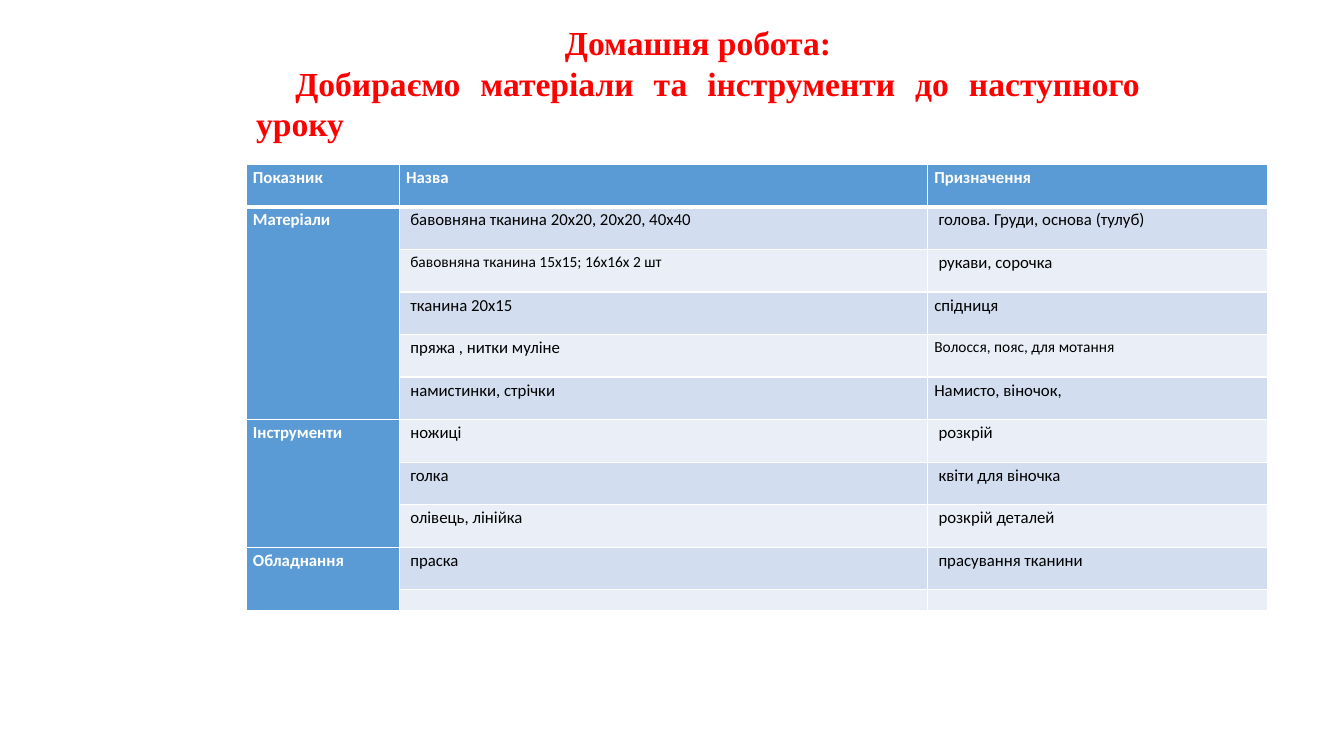
from lxml import etree
from pptx import Presentation
from pptx.dml.color import RGBColor
from pptx.enum.text import MSO_ANCHOR, MSO_AUTO_SIZE, PP_ALIGN
from pptx.oxml.ns import qn
from pptx.util import Pt

RED = RGBColor(0xFF, 0x00, 0x00)
WHITE = RGBColor(0xFF, 0xFF, 0xFF)
BLACK = RGBColor(0x00, 0x00, 0x00)
BLUE = RGBColor(0x5B, 0x9B, 0xD5)
BAND_DARK = RGBColor(0xD2, 0xDE, 0xEF)
BAND_LIGHT = RGBColor(0xEA, 0xEF, 0xF7)
CENTER, JUSTIFY = PP_ALIGN.CENTER, PP_ALIGN.JUSTIFY
TOP = MSO_ANCHOR.TOP
GROW = MSO_AUTO_SIZE.SHAPE_TO_FIT_TEXT

HEADER = ["Показник", "Назва", "Призначення"]
GROUPS = [
    ("Матеріали", [
        ("бавовняна тканина 20х20, 20х20, 40х40", "голова. Груди, основа (тулуб)"),
        ("бавовняна тканина 15х15; 16х16х 2 шт", "рукави, сорочка"),
        ("тканина 20х15", "спідниця"),
        ("пряжа , нитки муліне", "Волосся, пояс, для мотання"),
        ("намистинки, стрічки", "Намисто, віночок,"),
    ]),
    ("Інструменти", [
        ("ножиці", "розкрій"),
        ("голка", "квіти для віночка"),
        ("олівець, лінійка", "розкрій деталей"),
    ]),
    ("Обладнання", [
        ("праска", "прасування тканини"),
        ("", ""),
    ]),
]
SMALL = {(2, 1), (4, 2)}
FLUSH = {(3, 2), (4, 2), (5, 2)}


def write(p, text, font="Calibri", size=12, color=BLACK, bold=False,
          align=None, spacing=1.0, indent=0):
    p.line_spacing = spacing
    p.space_before = Pt(0)
    if align is not None:
        p.alignment = align
    if indent:
        p._p.get_or_add_pPr().set("indent", str(Pt(indent)))
    if not text:
        etree.SubElement(p._p, qn("a:endParaRPr"), sz=str(size * 100))
        return
    r = p.add_run()
    r.text = text
    r.font.name = font
    r.font.size = Pt(size)
    r.font.bold = bold
    r.font.color.rgb = color


class Deck:
    def __init__(self, prs):
        self.s = prs.slides.add_slide(prs.slide_layouts[5])

    def title(self, lines, x, y, w, h):
        sp = self.s.shapes.title
        sp.left, sp.top, sp.width, sp.height = Pt(x), Pt(y), Pt(w), Pt(h)
        tf = sp.text_frame
        tf.word_wrap = True
        tf.auto_size = GROW
        tf.vertical_anchor = TOP
        for i, (text, fmt) in enumerate(lines):
            p = tf.add_paragraph() if i else tf.paragraphs[0]
            write(p, text, font="Times New Roman", size=24, color=RED, bold=True, **fmt)

    def border(self, cell, side, width):
        ln = etree.SubElement(cell._tc.get_or_add_tcPr(), qn("a:" + side), w=str(Pt(width)))
        fill = etree.SubElement(ln, qn("a:solidFill"))
        etree.SubElement(fill, qn("a:srgbClr"), val=str(WHITE))

    def cell(self, cell, row, text, fill, inset=5, **fmt):
        cell.margin_left, cell.margin_right = Pt(inset), Pt(5)
        cell.margin_top = cell.margin_bottom = 0
        cell.vertical_anchor = TOP
        for side in ("lnL", "lnR", "lnT", "lnB"):
            thick = (row, side) in ((0, "lnB"), (1, "lnT"))
            self.border(cell, side, 3 if thick else 1)
        cell.fill.solid()
        cell.fill.fore_color.rgb = fill
        write(cell.text_frame.paragraphs[0], text, spacing=1.15 if text else 1.0, **fmt)

    def table(self, x, y, widths, heights):
        table = self.s.shapes.add_table(len(heights), len(widths), Pt(x), Pt(y),
                                        Pt(sum(widths)), Pt(sum(heights))).table
        for col, width in zip(table.columns, widths):
            col.width = Pt(width)
        for row, height in zip(table.rows, heights):
            row.height = Pt(height)
        for c, text in enumerate(HEADER):
            self.cell(table.cell(0, c), 0, text, BLUE, color=WHITE, bold=True)
        row = 1
        for group, items in GROUPS:
            first = row
            for item in items:
                label = group if row == first else ""
                self.cell(table.cell(row, 0), row, label, BLUE, color=WHITE, bold=True)
                for c, text in enumerate(item, 1):
                    self.cell(table.cell(row, c), row, text,
                              BAND_DARK if row % 2 else BAND_LIGHT,
                              inset=5 if (row, c) in FLUSH else 8,
                              size=11 if (row, c) in SMALL else 12)
                row += 1
            table.cell(first, 0).merge(table.cell(row - 1, 0))


def main():
    prs = Presentation()
    prs.slide_width, prs.slide_height = Pt(960), Pt(540)
    deck = Deck(prs)
    deck.title([
        ("Домашня робота:", {"align": CENTER}),
        ("Добираємо матеріали та інструменти до наступного уроку",
         {"align": JUSTIFY, "indent": 28}),
    ], 175.7, 12.2, 645.8, 94.3)
    deck.table(175.7, 117.4, [109.4, 377.3, 243.4], [30.4] * 10 + [14.6])
    prs.save("out.pptx")


if __name__ == "__main__":
    main()
